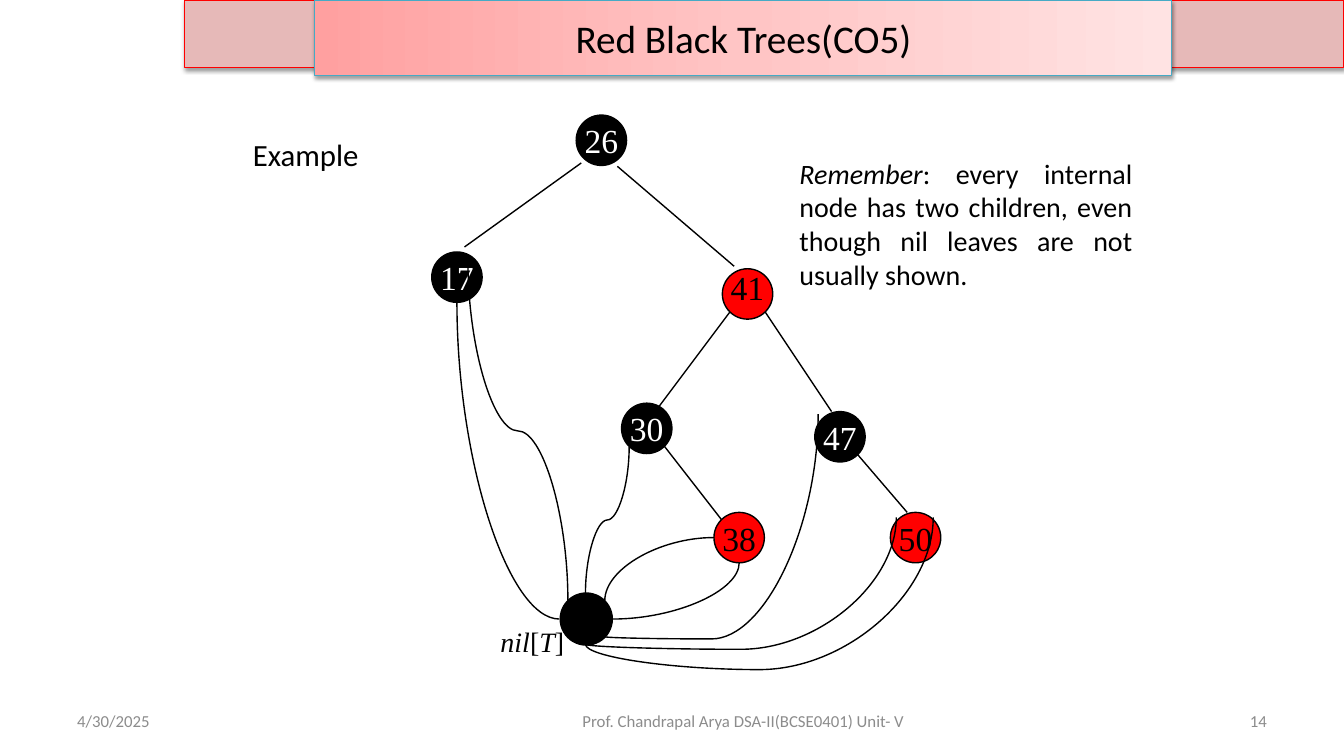
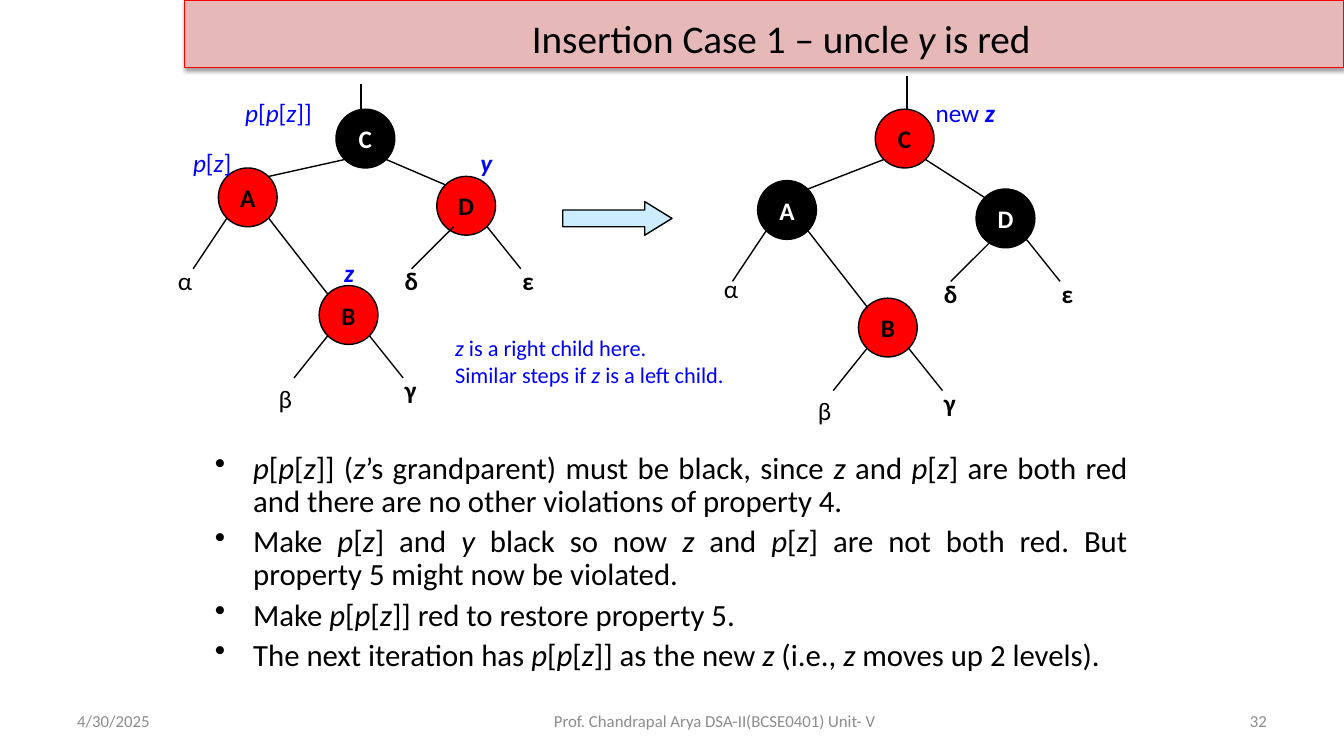
from copy import deepcopy

from lxml.etree import SubElement
from pptx import Presentation
from pptx.dml.color import RGBColor
from pptx.enum.shapes import MSO_CONNECTOR, MSO_SHAPE
from pptx.enum.text import MSO_ANCHOR, PP_ALIGN
from pptx.oxml.ns import qn
from pptx.util import Emu, Inches, Pt

COLORS = {
    "black": "000000", "white": "FFFFFF", "red": "FF0000", "blue": "0000FF",
    "band": "E6B9B8", "arrow": "CCECFF", "title_edge": "46AAC5", "footer": "8C8C8C",
    "title_start": "FFA0A0", "title_middle": "FFC5C5", "title_end": "FFE3E3",
}
COLUMNS, ROWS = 160, 90
CELL = Inches(1) / 12
SANS, SERIF = "Calibri", "Times New Roman"


def rgb(name):
    """Return the named colour."""
    return RGBColor.from_string(COLORS[name])


def cells(*counts):
    """Turn counts of grid cells into lengths."""
    return [Emu(round(count * CELL)) for count in counts]


class Deck:
    """Hold the shared style and the current slide."""

    def __init__(self):
        """Start an empty deck of grid size."""
        self.show = Presentation()
        self.show.slide_width, self.show.slide_height = cells(COLUMNS, ROWS)
        self.slide = None

    def start(self):
        """Add a blank slide with the top band."""
        self.slide = self.show.slides.add_slide(self.show.slide_layouts[6])
        self.shade(self.shape((22, 0, 138, 8), "band", "red", 0.75))

    def fill_text(self, frame, paragraphs, size=18, color="black", align=PP_ALIGN.LEFT,
                  font=SANS, bold=(False, False), bullet=False):
        """Set paragraphs with italics between asterisks; bold is for upright and italic runs."""
        for index, words in enumerate(paragraphs):
            paragraph = frame.add_paragraph() if index else frame.paragraphs[0]
            paragraph.alignment = align
            if bullet:
                paragraph.line_spacing = 0.9
                if index:
                    paragraph.space_before = Pt(5)
                indent = Inches(0.38)
                properties = paragraph._p.get_or_add_pPr()
                properties.set("marL", str(indent))
                properties.set("indent", str(-indent))
                SubElement(properties, qn("a:buChar")).set("char", "•")
            for part, piece in enumerate(words.split("*")):
                if piece:
                    run = paragraph.add_run()
                    run.text = piece
                    run.font.name, run.font.size = font, Pt(size)
                    run.font.italic = part % 2 == 1
                    run.font.bold = bold[part % 2]
                    run.font.color.rgb = rgb(color)

    def text(self, box, *paragraphs, wrap=False, anchor=MSO_ANCHOR.TOP, **style):
        """Add a text box."""
        frame = self.slide.shapes.add_textbox(*cells(*box)).text_frame
        frame.word_wrap, frame.vertical_anchor = wrap, anchor
        self.fill_text(frame, paragraphs, **style)

    def shape(self, box, fill, edge="black", width=1, kind=MSO_SHAPE.RECTANGLE):
        """Add a filled and outlined preset shape."""
        shape = self.slide.shapes.add_shape(kind, *cells(*box))
        shape.shadow.inherit = False
        shape.fill.solid()
        shape.fill.fore_color.rgb = rgb(fill)
        shape.line.color.rgb = rgb(edge)
        shape.line.width = Pt(width)
        return shape

    def shade(self, shape):
        """Give a shape the soft shadow of the bars."""
        effects = shape.element.spPr.find(qn("a:effectLst"))
        shadow = SubElement(effects, qn("a:outerShdw"), blurRad=str(Pt(3.1)),
                            dist=str(Pt(1.6)), dir="5400000", rotWithShape="0")
        tint = SubElement(shadow, qn("a:srgbClr"), val=COLORS["black"])
        SubElement(tint, qn("a:alpha"), val="38000")

    def title_bar(self, title):
        """Add the raised gradient title bar."""
        bar = self.shape((37.5, 0, 102, 9), "title_start", "title_edge", 0.75)
        bar.fill.gradient()
        bar.fill.gradient_angle = 0
        stops = bar.element.spPr.find(qn("a:gradFill")).find(qn("a:gsLst"))
        stops.insert(1, deepcopy(stops[0]))
        names = ("title_start", "title_middle", "title_end")
        for index, (stop, name) in enumerate(zip(bar.fill.gradient_stops, names)):
            stop.position = index / 2
            stop.color.rgb = rgb(name)
        self.shade(bar)
        bar.text_frame.vertical_anchor = MSO_ANCHOR.MIDDLE
        self.fill_text(bar.text_frame, [title], 28, align=PP_ALIGN.CENTER)

    def node(self, left, top, diameter, fill, label="", **style):
        """Add a round tree node with a contrasting label."""
        circle = self.shape((left, top, diameter, diameter), fill, kind=MSO_SHAPE.OVAL)
        frame = circle.text_frame
        frame.word_wrap, frame.vertical_anchor = False, MSO_ANCHOR.MIDDLE
        ink = "white" if fill == "black" else "black"
        self.fill_text(frame, [label], color=ink, align=PP_ALIGN.CENTER, **style)

    def edge(self, start, end, kind=MSO_CONNECTOR.STRAIGHT):
        """Add a thin black connector."""
        connector = self.slide.shapes.add_connector(kind, *cells(*start, *end))
        connector.line.color.rgb = rgb("black")
        connector.line.width = Pt(1)
        SubElement(connector.element.spPr, qn("a:effectLst"))
        return connector

    def curve(self, start, end, bend=None, sideways=False):
        """Add a curve that leaves its start downwards, or sideways to the left."""
        across, down = abs(end[0] - start[0]), end[1] - start[1]
        width, height = (across, down) if sideways else (down, across)
        left = (start[0] + end[0] - width) / 2
        top = (start[1] + end[1] - height) / 2
        connector = self.edge((left, top), (left + width, top + height), MSO_CONNECTOR.CURVE)
        properties = connector.element.spPr
        frame = properties.find(qn("a:xfrm"))
        leftward = end[0] < start[0]
        turn = 180 if sideways else 90 if leftward else 270
        frame.set("rot", str(turn * 60000))
        if sideways:
            frame.set("flipV", "1")
        elif not leftward:
            frame.set("flipH", "1")
        geometry = properties.find(qn("a:prstGeom"))
        if bend is None:
            geometry.set("prst", "curvedConnector2")
        else:
            SubElement(geometry.find(qn("a:avLst")), qn("a:gd"),
                       name="adj1", fmla=f"val {round(bend * 100000)}")

    def footer(self, number, credit_width):
        """Add the date, the course credit and the slide number."""
        credit = "Prof. Chandrapal Arya DSA-II(BCSE0401) Unit- V"
        for left, width, words, align in (
            (8, 37.3, "4/30/2025", PP_ALIGN.LEFT),
            (61, credit_width, credit, PP_ALIGN.CENTER),
            (114.7, 37.3, number, PP_ALIGN.RIGHT),
        ):
            self.text((left, 83.4, width, 4.8), words, wrap=True, anchor=MSO_ANCHOR.MIDDLE,
                      size=12, color="footer", align=align)

    def rotation_tree(self, left, drop, fills, stem, alpha):
        """Draw the C, A, D, B tree with its lower levels moved down by drop."""
        places = {"C": (40, 13), "A": (26, 20 + drop), "D": (52, 21 + drop), "B": (38, 34 + drop)}
        for (label, (x, y)), fill in zip(places.items(), fills):
            self.node(left + x, y, 7, fill, label, bold=(True, True))
        for x, y, to_x, to_y in (
            (41, 19 - drop, 32, 21), (46, 19 - drop, 53, 22), (32, 26, 39, 35),
            (27, 26, 23, 32), (39, 40, 35, 45), (44, 40, 48, 45),
            (54, 27, 49, 32), (58, 27, 62, 32),
        ):
            self.edge((left + x, y + drop), (left + to_x, to_y + drop))
        self.edge(*stem)
        self.text((*alpha, 4.3, 4.8), "α")
        for label, x, y, width, heavy in (
            ("β", 32, 45, 4.1, False), ("γ", 47, 44, 4.9, True),
            ("δ", 47, 31, 4, True), ("ε", 61, 31, 3.7, True),
        ):
            self.text((left + x, y + drop, width, 4.8), label, bold=(heavy, heavy))


def example_slide(deck):
    """Build the example tree with its shared nil leaf."""
    deck.start()
    for start, end in (
        ((69.2, 19.4), (55.3, 29.4)), ((73.5, 19.8), (87.4, 31.7)),
        ((87, 37), (78, 49)), ((91, 37), (99, 49)),
        ((102, 54), (108, 61)), ((79, 53), (86, 62)),
    ):
        deck.edge(start, end)
    for label, left, top, fill in (
        ("26", 68.6, 13.7, "black"), ("17", 51.4, 30, "black"), ("", 86, 32, "red"),
        ("30", 74, 48, "black"), ("47", 97, 49, "black"),
        ("38", 85, 61, "red"), ("50", 106, 61, "red"),
    ):
        deck.node(left, top, 6, fill, label, size=24, font=SERIF)
    deck.text((85.8, 31.2, 6.4, 6), "41", size=24, font=SERIF)
    deck.node(66.7, 70.6, 6.2, "black")
    deck.curve((85, 64), (72, 71.5), sideways=True)
    for start, end, bend in (
        ((88, 67), (72.9, 73.7), None), ((97.4, 49.3), (72, 75.8), 1.01),
        ((74.9, 53.2), (69.7, 70.6), 0.5), ((55.7, 31.1), (67.6, 71.5), 0.5),
        ((54.4, 36), (66.6, 73.7), None), ((106.7, 61.6), (69.7, 76.7), 1.04),
        ((111.1, 61.6), (69.7, 76.7), 1.2),
    ):
        deck.curve(start, end, bend)
    deck.text((58.4, 73.7, 10.3, 5.3), "*nil*[*T*]", size=20, font=SERIF)
    deck.text((94, 18, 42, 17.4), "*Remember*: every internal node has two children, "
              "even though nil leaves are not usually shown.",
              wrap=True, size=20, align=PP_ALIGN.JUSTIFY)
    deck.title_bar("Red Black Trees(CO5)")
    deck.text((22.6, 15.6, 27.6, 5.6), "Example", wrap=True, size=22, align=PP_ALIGN.CENTER)
    deck.footer("14", 55)


def insertion_slide(deck):
    """Build the recolouring step of the first insertion case."""
    deck.start()
    deck.text((33, 1.1, 120, 12), "Insertion Case 1 – uncle *y* is red",
              wrap=True, size=28, align=PP_ALIGN.CENTER)
    deck.text(
        (24.4, 53.3, 111, 30),
        "*p*[*p*[*z*]] (*z*’s grandparent) must be black, since *z *and *p*[*z*] are both red "
        "and there are no other violations of property 4.",
        "Make *p*[*z*] and *y *black so now *z *and *p*[*z*] are not both red. "
        "But property 5 might now be violated.",
        "Make *p*[*p*[*z*]] red to restore property 5.",
        "The next iteration has *p*[*p*[*z*]] as the new *z *(i.e., *z *moves up 2 levels).",
        wrap=True, size=22, align=PP_ALIGN.JUSTIFY, bullet=True)
    deck.rotation_tree(0, 0, ("black", "red", "red", "red"), ((43, 10), (43, 13)), (20, 31))
    deck.rotation_tree(64.2, 1.5, ("red", "black", "black", "red"), ((108, 9), (108, 13)), (85, 32))
    for words, left, top, width in (
        ("*z*", 39.8, 30.1, 3.6), ("*y*", 56, 17, 3.8), ("new* z*", 110.2, 11, 9.6),
    ):
        deck.text((left, top, width, 4.8), words, color="blue", bold=(False, True))
    deck.text((21.8, 17, 7.1, 4.8), "*p*[*z*]", color="blue")
    deck.text((28, 11, 10.4, 4.8), "*p*[*p*[*z*]]", color="blue")
    step = deck.shape((67, 24, 13, 4), "arrow", kind=MSO_SHAPE.RIGHT_ARROW)
    step.adjustments[1] = 0.81
    deck.text((53, 39.2, 35.6, 7.7), "*z* is a right child here.",
              "Similar steps if *z* is a left child.", size=16, color="blue")
    deck.footer("32", 48.2)


def main():
    """Build and save the deck."""
    deck = Deck()
    example_slide(deck)
    insertion_slide(deck)
    deck.show.save("out.pptx")


if __name__ == "__main__":
    main()
